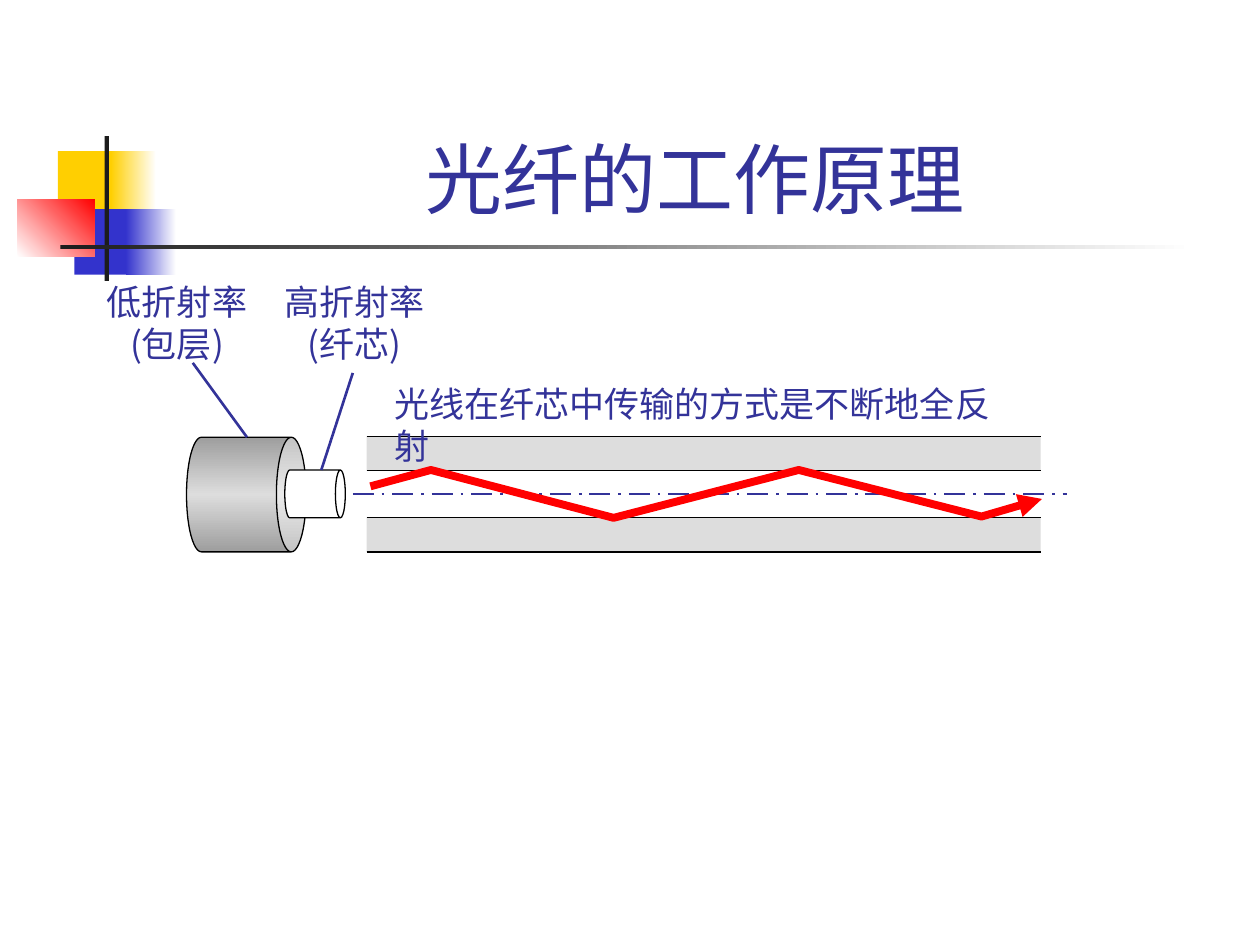
import copy
import pptx
import pptx.util
import pptx.dml.color
import pptx.enum.dml
import pptx.enum.shapes
import pptx.enum.text
import pptx.oxml.ns
import pptx.oxml.xmlchemy

qn = pptx.oxml.ns.qn
new_element = pptx.oxml.xmlchemy.OxmlElement
Pt = pptx.util.Pt
RGB = pptx.dml.color.RGBColor.from_string
MSO = pptx.enum.shapes.MSO_SHAPE
ALIGN = pptx.enum.text.PP_ALIGN
ANCHOR = pptx.enum.text.MSO_ANCHOR

C = {"yellow": "FFCF01", "blue": "3333CC", "red": "FF0000", "dark": "1C1C1C",
     "white": "FFFFFF", "ink": "333399", "cladding": "DDDDDD", "shade": "9E9E9E",
     "black": "000000"}

prs = pptx.Presentation()
prs.slide_width = pptx.util.Inches(10)
prs.slide_height = pptx.util.Inches(7.5)
COL = prs.slide_width // 100
s = prs.slides.add_slide(prs.slide_layouts[6])


def add_block(kind, box, colors, angle=0):
    sp = s.shapes.add_shape(kind, *[int(v * COL) for v in box])
    sp.shadow.inherit = False
    sp.line.fill.background()
    if len(colors) == 1:
        sp.fill.solid()
        sp.fill.fore_color.rgb = RGB(C[colors[0]])
        return sp
    sp.fill.gradient()
    sp.fill.gradient_angle = angle
    stops = sp._element.spPr.find(".//" + qn("a:gsLst"))
    while len(stops) < len(colors):
        stops.append(copy.deepcopy(stops[0]))
    for i, (stop, color) in enumerate(zip(sp.fill.gradient_stops, colors)):
        stop.color.rgb = RGB(C[color])
        stop.position = i / (len(colors) - 1)
    return sp


def add_line(shapes, x1, y1, x2, y2, color, width):
    ln = shapes.add_connector(pptx.enum.shapes.MSO_CONNECTOR.STRAIGHT,
                              *[int(v * COL) for v in (x1, y1, x2, y2)])
    ln.line.color.rgb = RGB(C[color])
    ln.line.width = Pt(width)
    ln._element.spPr.append(new_element("a:effectLst"))
    return ln


for box, colors, angle in [
    ((4.6, 12, 4.8, 5.2), ["yellow"], 0),
    ((8.8, 12, 3.6, 5.2), ["yellow", "white"], 0),
    ((5.9, 16.6, 4.6, 5.2), ["blue"], 0),
    ((10, 16.6, 4, 5.2), ["blue", "white"], 0),
    ((1.4, 15.8, 6.1, 4.6), ["white", "red"], 45),
    ((8.3, 10.8, 0.35, 11.5), ["dark"], 0),
    ((4.8, 19.45, 90, 0.35), ["dark", "white"], 0),
]:
    add_block(MSO.RECTANGLE, box, colors, angle)

left, right = 29.1, 82.6
edges = [34.65, 37.35, 41.1, 43.8]
for top, bottom, color in zip(edges, edges[1:], ["cladding", "white", "cladding"]):
    add_block(MSO.RECTANGLE, (left, top, right - left, bottom - top), [color])

for box, adj, colors in [
    ((15, 34.5, 9.1, 9.5), 0.26, ["shade", "cladding", "shade"]),
    ((23.1, 36.8, 3.8, 4.8), 0.207, ["white"]),
]:
    sp = add_block(MSO.CAN, box, colors)
    sp.rotation = 90
    sp.adjustments[0] = adj
    sp.line.color.rgb = RGB(C["black"])
    sp.line.width = Pt(0.75)

grp = s.shapes.add_group_shape()
for y in edges:
    add_line(grp.shapes, left, y, right, y, "black", 0.75)

axis = add_line(s.shapes, 28, 39.2, 84.7, 39.2, "ink", 1.5)
axis.line.dash_style = pptx.enum.dml.MSO_LINE.LONG_DASH_DOT
add_line(s.shapes, 28, 29.6, 25.5, 37.3, "ink", 1.5)
add_line(s.shapes, 15.3, 28.8, 19.6, 34.7, "ink", 1.5)

for box, text, size, font, align, anchor, wrap in [
    ((12.6, 2.3, 85.2, 16), "光纤的工作原理", 44, "Arial", ALIGN.CENTER, ANCHOR.BOTTOM, True),
    ((21.6, 21.8, 13.1, 7.7), "高折射率\n(纤芯)", 20, "Noto Sans CJK SC", ALIGN.CENTER, ANCHOR.TOP, False),
    ((7.5, 21.8, 13.1, 7.7), "低折射率\n(包层)", 20, "Noto Sans CJK SC", ALIGN.CENTER, ANCHOR.TOP, False),
    ((30.3, 29.9, 51, 4.3), "光线在纤芯中传输的方式是不断地全反射", 20, "Noto Sans CJK SC", ALIGN.LEFT, ANCHOR.TOP, True),
]:
    tf = s.shapes.add_textbox(*[int(v * COL) for v in box]).text_frame
    tf.text = text
    tf.word_wrap = wrap
    tf.vertical_anchor = anchor
    for p in tf.paragraphs:
        p.alignment = align
        for r in p.runs:
            r.font.size = Pt(size)
            r.font.name = font
            r.font.color.rgb = RGB(C["ink"])
            ea = new_element("a:ea")
            ea.set("typeface", "Noto Sans CJK SC")
            r.font._element.find(qn("a:latin")).addnext(ea)

ray = [(29.4, 38.6), (34.2, 37.3), (48.7, 41.1), (63.4, 37.3), (77.9, 41), (82.7, 39.6)]
points = [(int(x * COL), int(y * COL)) for x, y in ray]
fb = s.shapes.build_freeform(*points[0])
fb.add_line_segments(points[1:], close=False)
sp = fb.convert_to_shape()
sp.shadow.inherit = False
sp.fill.background()
sp.line.color.rgb = RGB(C["red"])
sp.line.width = Pt(4.5)
tail = new_element("a:tailEnd")
tail.set("type", "triangle")
sp._element.spPr.find(qn("a:ln")).append(tail)

prs.save("out.pptx")
